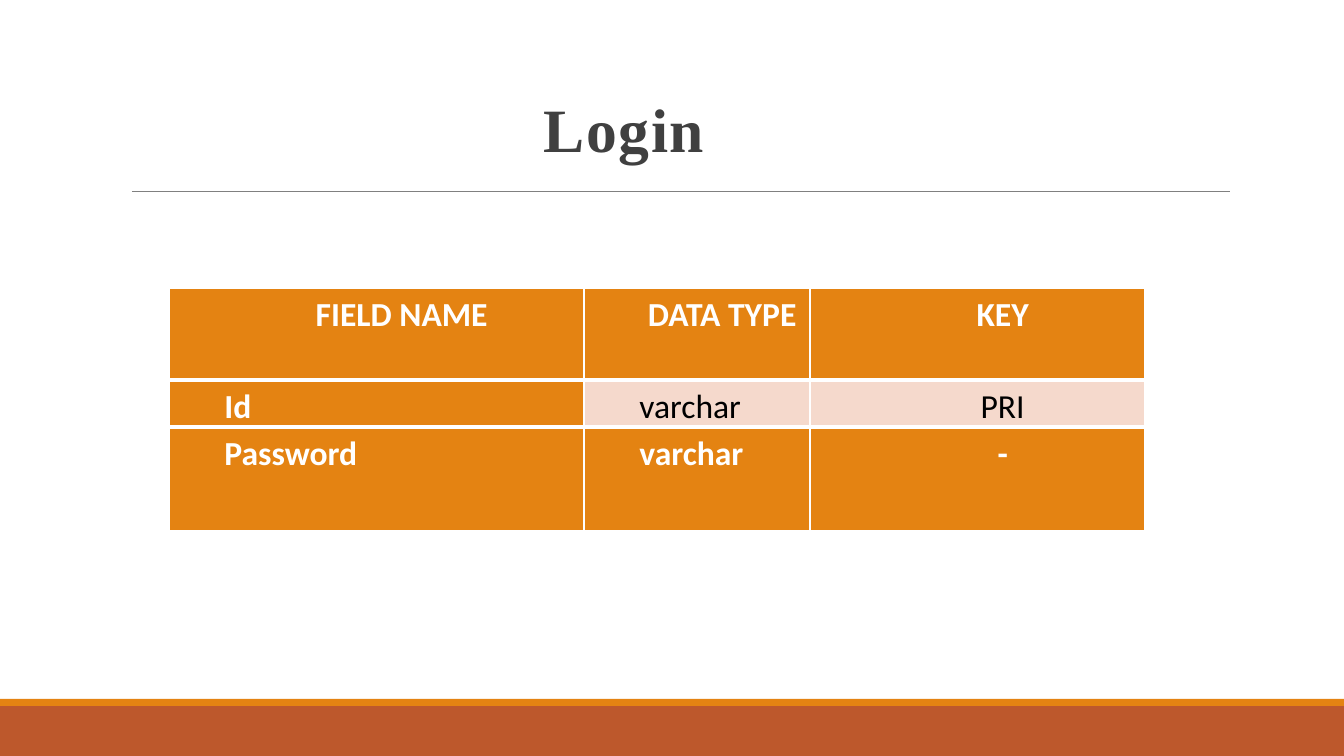
import dataclasses

import lxml.etree
import pptx
import pptx.dml.color
import pptx.enum.shapes
import pptx.enum.text
import pptx.oxml.ns
import pptx.presentation
import pptx.slide
import pptx.table
import pptx.util

EMU_PER_PIXEL = 914400 / 100.8
ALIGN = pptx.enum.text.PP_ALIGN


@dataclasses.dataclass(frozen=True)
class Theme:
    white: str = "FFFFFF"
    orange: str = "E48312"
    rust: str = "BD582C"
    blush: str = "F5D9CC"
    grey: str = "808080"
    title_text: str = "404040"
    black: str = "000000"
    title_font: str = "Times New Roman"
    table_font: str = "Calibri"
    title_size: float = 44
    table_size: float = 24
    title_tracking: float = 1.1
    rule_width: float = 0.5
    thin_border: float = 1
    thick_border: float = 3


@dataclasses.dataclass(frozen=True)
class Box:
    left: int
    top: int
    width: int
    height: int

    def emu(self) -> tuple[pptx.util.Emu, ...]:
        return tuple(pixels(value) for value in dataclasses.astuple(self))


@dataclasses.dataclass(frozen=True)
class Band:
    box: Box
    color: str


@dataclasses.dataclass(frozen=True)
class Row:
    height: int
    texts: tuple[str, str, str]
    header: bool = False
    plain: bool = False


THEME = Theme()
SLIDE = Box(0, 0, 1344, 756)
TITLE = Box(14, 70, 1220, 100)
TABLE = Box(169, 288, 976, 239)
COLUMN_WIDTHS = (415, 226, 335)
BANDS = (
    Band(Box(0, 706, 1344, 50), THEME.rust),
    Band(Box(0, 699, 1344, 7), THEME.orange),
)
ROWS = (
    Row(92, ("FIELD NAME", "DATA TYPE", "KEY"), header=True),
    Row(44, ("Id", "varchar", "PRI"), plain=True),
    Row(103, ("Password", "varchar", "-")),
)


def pixels(value: float) -> pptx.util.Emu:
    return pptx.util.Emu(round(value * EMU_PER_PIXEL))


def rgb(color: str) -> pptx.dml.color.RGBColor:
    return pptx.dml.color.RGBColor.from_string(color)


def add_band(slide: pptx.slide.Slide, band: Band) -> None:
    shape = slide.shapes.add_shape(pptx.enum.shapes.MSO_SHAPE.RECTANGLE, *band.box.emu())
    shape.shadow.inherit = False
    shape.fill.solid()
    shape.fill.fore_color.rgb = rgb(band.color)
    shape.line.fill.background()


def add_rule(slide: pptx.slide.Slide, left: int, right: int, top: int) -> None:
    rule = slide.shapes.add_connector(
        pptx.enum.shapes.MSO_CONNECTOR.STRAIGHT,
        pixels(left), pixels(top), pixels(right), pixels(top),
    )
    rule.line.color.rgb = rgb(THEME.grey)
    rule.line.width = pptx.util.Pt(THEME.rule_width)
    lxml.etree.SubElement(rule._element.spPr, pptx.oxml.ns.qn("a:effectLst"))


def set_title(slide: pptx.slide.Slide, text: str) -> None:
    title = slide.shapes.title
    title.left, title.top, title.width, title.height = TITLE.emu()
    title.text_frame.text = text
    title.text_frame.vertical_anchor = pptx.enum.text.MSO_ANCHOR.BOTTOM
    paragraph = title.text_frame.paragraphs[0]
    paragraph.alignment = ALIGN.CENTER
    paragraph.line_spacing = 0.85
    paragraph.font.name = THEME.title_font
    paragraph.font.size = pptx.util.Pt(THEME.title_size)
    paragraph.font.bold = True
    paragraph.font.color.rgb = rgb(THEME.title_text)
    properties = paragraph.runs[0]._r.get_or_add_rPr()
    properties.set("spc", str(round(THEME.title_tracking * 100)))


def set_borders(cell: pptx.table._Cell, top: float, bottom: float) -> None:
    widths = {"lnL": THEME.thin_border, "lnR": THEME.thin_border, "lnT": top, "lnB": bottom}
    properties = cell._tc.get_or_add_tcPr()
    for position, (tag, width) in enumerate(widths.items()):
        border = lxml.etree.Element(pptx.oxml.ns.qn(f"a:{tag}"), w=str(pptx.util.Pt(width)))
        fill = lxml.etree.SubElement(border, pptx.oxml.ns.qn("a:solidFill"))
        lxml.etree.SubElement(fill, pptx.oxml.ns.qn("a:srgbClr"), val=THEME.white)
        properties.insert(position, border)


def fill_cell(cell: pptx.table._Cell, row: Row, column: int) -> None:
    plain = row.plain and column > 0
    key_column = column == len(COLUMN_WIDTHS) - 1
    cell.margin_left = cell.margin_right = pixels(5)
    cell.margin_top = cell.margin_bottom = 0
    cell.fill.solid()
    cell.fill.fore_color.rgb = rgb(THEME.blush if plain else THEME.orange)
    cell.text = row.texts[column]
    paragraph = cell.text_frame.paragraphs[0]
    paragraph.alignment = ALIGN.CENTER if row.header or key_column else ALIGN.LEFT
    paragraph.line_spacing = 1.15
    if key_column:
        paragraph.space_after = pptx.util.Pt(10)
    paragraph._p.get_or_add_pPr().set("marL", str(pptx.util.Inches(0.5)))
    paragraph.font.name = THEME.table_font
    paragraph.font.size = pptx.util.Pt(THEME.table_size)
    paragraph.font.bold = not plain
    paragraph.font.color.rgb = rgb(THEME.black if plain else THEME.white)


def add_field_table(slide: pptx.slide.Slide) -> None:
    table = slide.shapes.add_table(len(ROWS), len(COLUMN_WIDTHS), *TABLE.emu()).table
    table.first_row = table.horz_banding = False
    for column, width in zip(table.columns, COLUMN_WIDTHS):
        column.width = pixels(width)
    for index, row in enumerate(ROWS):
        table.rows[index].height = pixels(row.height)
        top = THEME.thick_border if index > 0 else THEME.thin_border
        bottom = THEME.thick_border if index < len(ROWS) - 1 else THEME.thin_border
        for column in range(len(COLUMN_WIDTHS)):
            cell = table.cell(index, column)
            fill_cell(cell, row, column)
            set_borders(cell, top, bottom)


def build() -> pptx.presentation.Presentation:
    presentation = pptx.Presentation()
    presentation.slide_width = pixels(SLIDE.width)
    presentation.slide_height = pixels(SLIDE.height)
    slide = presentation.slides.add_slide(presentation.slide_layouts.get_by_name("Title Only"))
    slide.background.fill.solid()
    slide.background.fill.fore_color.rgb = rgb(THEME.white)
    for band in BANDS:
        add_band(slide, band)
    add_rule(slide, left=132, right=1230, top=191)
    set_title(slide, "Login")
    add_field_table(slide)
    return presentation


build().save("out.pptx")
